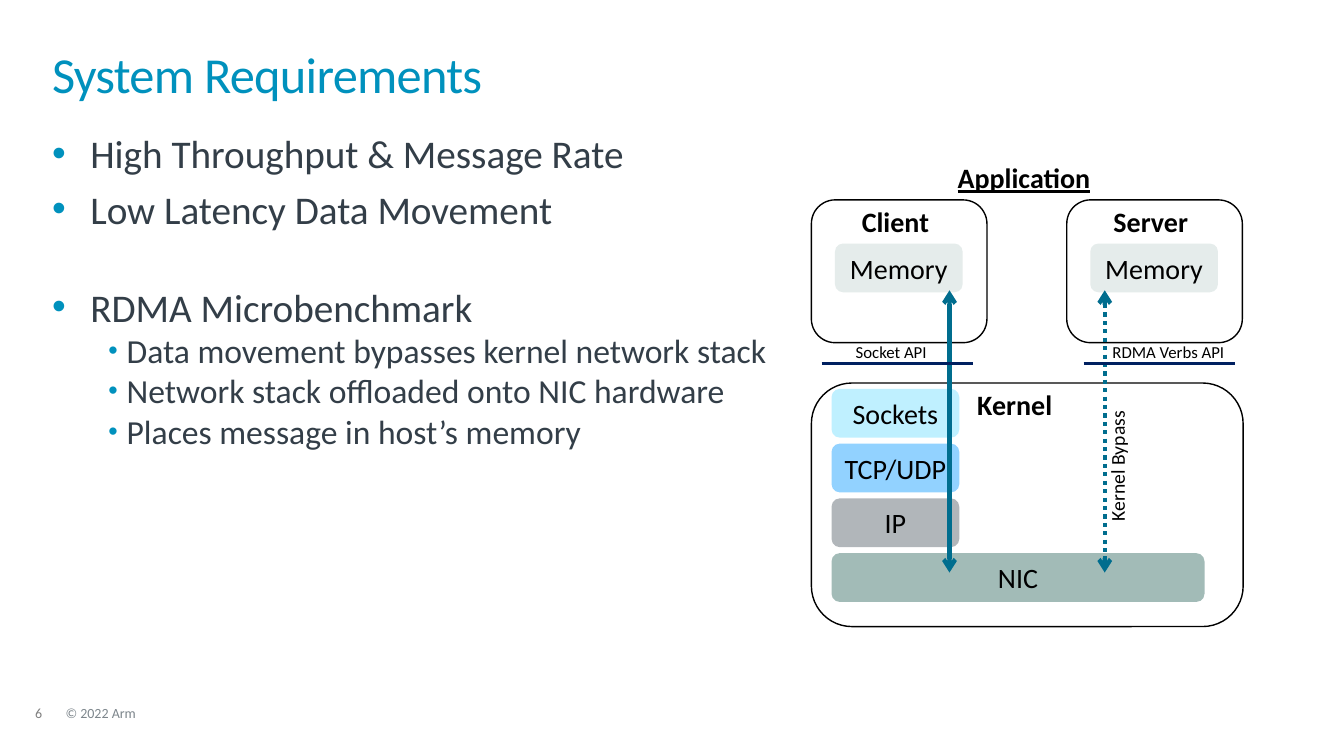
from lxml.etree import SubElement
from pptx import Presentation
from pptx.dml.color import RGBColor
from pptx.enum.dml import MSO_LINE
from pptx.enum.shapes import MSO_CONNECTOR, MSO_SHAPE
from pptx.enum.text import MSO_ANCHOR, PP_ALIGN
from pptx.oxml.ns import qn
from pptx.util import Inches, Pt

# The slide is a grid of 160 columns by 90 rows, twelve to the inch
COLUMNS, ROWS = 160, 90
FONT = "Calibri"
COLORS = {
    "title": "0091BD", "body": "333E48", "black": "000000", "white": "FFFFFF",
    "number": "7F7F7F", "footer": "7D868C", "memory": "E5ECEB",
    "sockets": "BFF0FF", "transport": "92D2FF", "ip": "B1B6BA",
    "nic": "A2BBB7", "flow": "006D8E", "api": "002060",
}
BULLETS = [
    # text, level, space before
    ("High Throughput & Message Rate", 0, 0),
    ("Low Latency Data Movement", 0, 6),
    ("RDMA Microbenchmark", 0, 36.4),
    ("Data movement bypasses kernel network stack", 1, 0),
    ("Network stack offloaded onto NIC hardware", 1, 0),
    ("Places message in host’s memory", 1, 0),
]
LEVELS = [
    # size, left margin, hanging indent, bullet percentage
    (28, 0.38, 0.38, 100),
    (24, 0.74, 0.18, 80),
]
LAYERS = [("Sockets", "sockets", 15.2), ("TCP/UDP", "transport", 15.2),
          ("IP", "ip", 15.2), ("NIC", "nic", 44.4)]


def grid(*cells):
    return [Inches(c / 12) for c in cells]


def rgb(name):
    return RGBColor.from_string(COLORS[name])


def style(p, size, color, bold=False, underline=False):
    for r in p.runs:
        f = r.font
        f.name, f.size, f.bold, f.underline = FONT, Pt(size), bold, underline
        f.color.rgb = rgb(color)


def add_text(s, x, y, w, h, text, size, color, spacing=None):
    """Left-aligned text box without insets."""
    tf = s.shapes.add_textbox(*grid(x, y, w, h)).text_frame
    tf.word_wrap = True
    tf.margin_left = tf.margin_right = tf.margin_top = tf.margin_bottom = 0
    p = tf.paragraphs[0]
    p.text = text
    if spacing:
        p.line_spacing = spacing
    style(p, size, color)
    return tf


def add_bullets(s, x, y, w, h):
    tf = add_text(s, x, y, w, h, "", 28, "body")
    for i, (text, level, before) in enumerate(BULLETS):
        p = tf.add_paragraph() if i else tf.paragraphs[0]
        p.text = text
        p.level = level
        size, margin, hang, percent = LEVELS[level]
        pPr = p._p.get_or_add_pPr()
        pPr.set("marL", str(Inches(margin)))
        pPr.set("indent", str(-Inches(hang)))
        color = SubElement(pPr, qn("a:buClr"))
        SubElement(color, qn("a:srgbClr"), val=COLORS["title"])
        SubElement(pPr, qn("a:buSzPct"), val=str(percent * 1000))
        SubElement(pPr, qn("a:buFont"), typeface="Arial")
        SubElement(pPr, qn("a:buChar"), char="•")
        p.space_before = Pt(before)
        style(p, size, "body")


def add_label(s, center, y, w, text, size=20, bold=False, underline=False, turn=0):
    """Centred one-line label whose height follows its font size."""
    h = 0.2 * size + 1.2
    sp = s.shapes.add_textbox(*grid(center - w / 2, y, w, h))
    sp.rotation = turn
    sp.text_frame.word_wrap = False
    p = sp.text_frame.paragraphs[0]
    p.text = text
    p.alignment = PP_ALIGN.CENTER
    style(p, size, "black", bold, underline)


def add_box(s, x, y, w, h, fill, text="", outlined=False):
    sp = s.shapes.add_shape(MSO_SHAPE.ROUNDED_RECTANGLE, *grid(x, y, w, h))
    sp.shadow.inherit = False
    sp.fill.solid()
    sp.fill.fore_color.rgb = rgb(fill)
    if outlined:
        sp.line.color.rgb = rgb("black")
        sp.line.width = Pt(1)
    else:
        sp.line.fill.background()
    if text:
        tf = sp.text_frame
        tf.vertical_anchor = MSO_ANCHOR.MIDDLE
        p = tf.paragraphs[0]
        p.text = text
        p.alignment = PP_ALIGN.CENTER
        style(p, 20, "black")


def add_line(s, x1, y1, x2, y2, color, width, arrows=False, dash=None):
    c = s.shapes.add_connector(MSO_CONNECTOR.STRAIGHT, *grid(x1, y1, x2, y2))
    c.line.color.rgb = rgb(color)
    c.line.width = Pt(width)
    if dash:
        c.line.dash_style = dash
    if arrows:
        ln = c.line._get_or_add_ln()
        for end in ("a:headEnd", "a:tailEnd"):
            SubElement(ln, qn(end), type="arrow")
    SubElement(c._element.spPr, qn("a:effectLst"))


def add_process(s, x, name, w):
    """Application process with its memory."""
    add_box(s, x, 23.8, 20.9, 17, "white", outlined=True)
    add_label(s, x + 10, 23.8, w, name, bold=True)
    add_box(s, x + 2.8, 29, 15.2, 5.8, "memory", "Memory")


def main():
    prs = Presentation()
    prs.slide_width, prs.slide_height = grid(COLUMNS, ROWS)
    s = prs.slides.add_slide(prs.slide_layouts[6])

    # Footer, title and bullets
    add_text(s, 4.2, 84.1, 4.1, 1.8, "6", 10, "number", 0.9)
    add_text(s, 7.8, 84.1, 60.8, 1.8, "© 2022 Arm", 10, "footer", 0.9)
    title = add_text(s, 6.2, 6.2, 147.4, 8.6, "System Requirements", 36, "title", 0.85)
    title.paragraphs[0].runs[0].font._element.set("spc", "-50")
    add_bullets(s, 6.2, 15.4, 147.4, 65.6)

    # Application processes
    add_process(s, 96.6, "Client", 10.4)
    add_process(s, 127, "Server", 11.4)

    # Kernel and its network layers
    add_box(s, 96.6, 45.6, 51.4, 29, "white", outlined=True)
    add_label(s, 120.8, 45.5, 11.4, "Kernel", bold=True)
    for i, (name, fill, w) in enumerate(LAYERS):
        add_box(s, 99, 46.3 + 6.52 * i, w, 5.8, fill, name)

    # Data paths between memory and NIC
    for x, dash in ((113.04, None), (131.52, MSO_LINE.ROUND_DOT)):
        add_line(s, x, 34.56, x, 68.16, "flow", 3, arrows=True, dash=dash)
    add_label(s, 133, 53.5, 16, "Kernel Bypass", 14, turn=270)
    add_label(s, 121.9, 18.5, 18.4, "Application", bold=True, underline=True)

    # API boundaries
    for x, center, w, name in ((97.8, 106.1, 11, "Socket API"),
                               (129, 139.1, 16, "RDMA Verbs API")):
        add_line(s, x, 43.3, x + 18, 43.3, "api", 2.25)
        add_label(s, center, 40.1, w, name, 12)

    prs.save("out.pptx")


if __name__ == "__main__":
    main()
